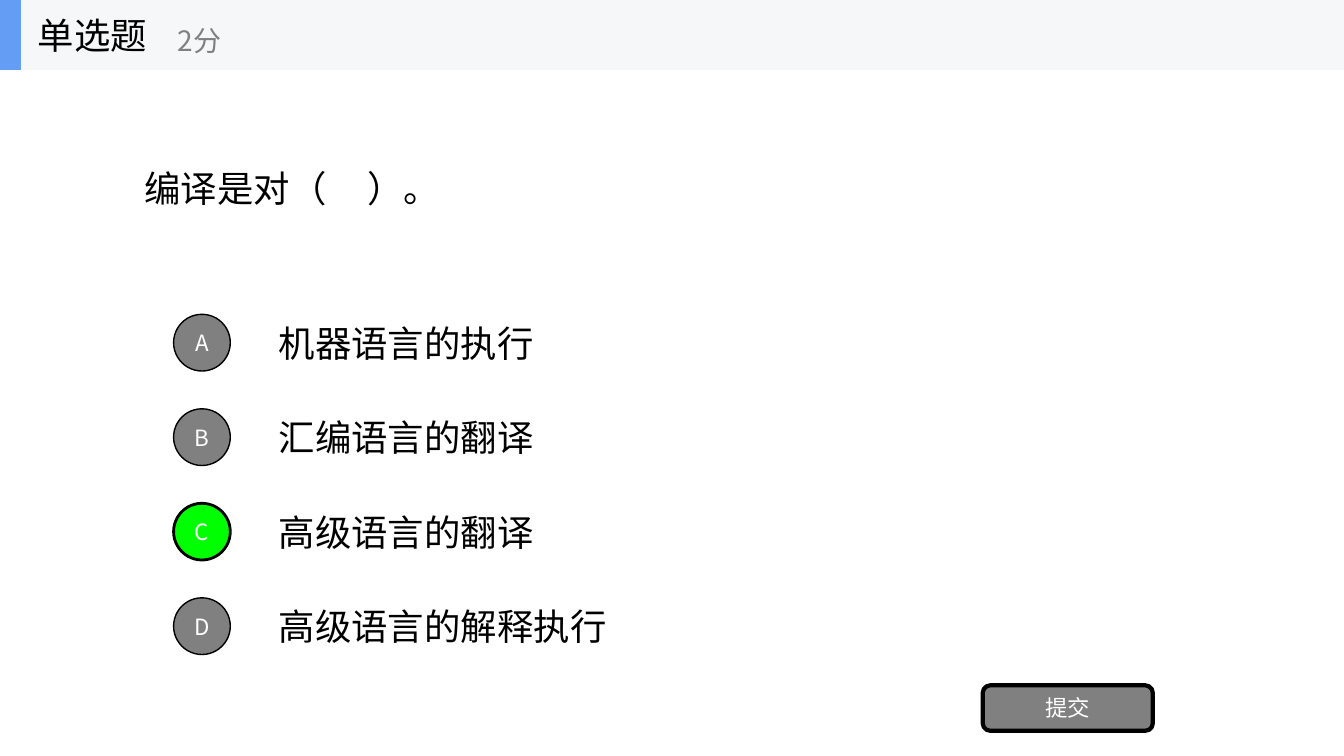
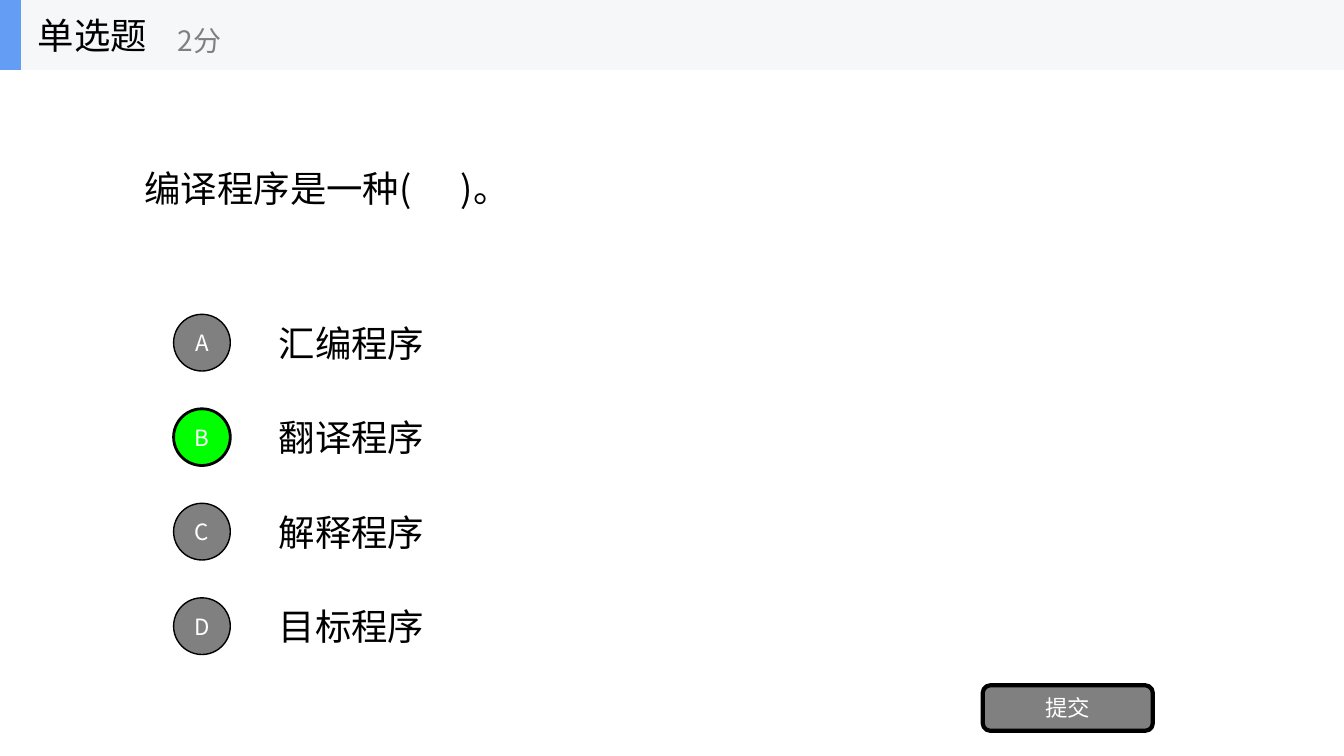
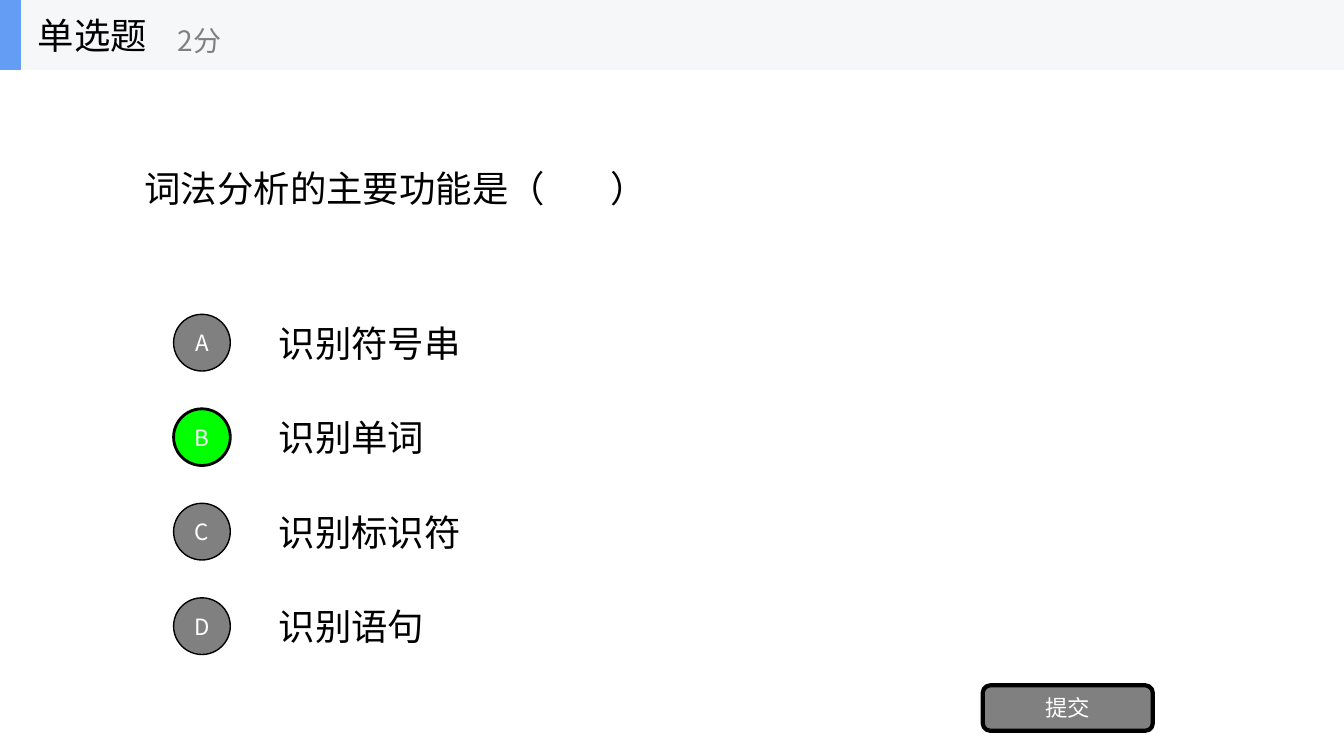
"""Builds three single-choice quiz slides."""
import lxml.etree
import pptx
import pptx.dml.color
import pptx.enum.shapes
import pptx.enum.text
import pptx.oxml.ns
import pptx.util

FONT = "Noto Sans CJK SC"
BLACK, GRAY, WHITE = "000000", "808080", "FFFFFF"
PALE, BLUE, GREEN = "F6F7F8", "639EF4", "00FF00"
KIND = pptx.enum.shapes.MSO_SHAPE
ALIGN = pptx.enum.text.PP_ALIGN
FRAME = {
    "vertical_anchor": pptx.enum.text.MSO_ANCHOR.MIDDLE,
    "auto_size": pptx.enum.text.MSO_AUTO_SIZE.NONE,
}
QUIZ = [
    ("编译是对（\t）。", 318, "C",
     ["机器语言的执行", "汇编语言的翻译", "高级语言的翻译", "高级语言的解释执行"]),
    ("编译程序是一种(\t)。", 452, "B",
     ["汇编程序", "翻译程序", "解释程序", "目标程序"]),
    ("词法分析的主要功能是（\t）", 666, "B",
     ["识别符号串", "识别单词", "识别标识符", "识别语句"]),
]


def px(size):
    return pptx.util.Emu(size * 6350)


def color(code):
    return pptx.dml.color.RGBColor.from_string(code)


def apply(target, values):
    for name, value in values.items():
        setattr(target, name, value)


class Deck:
    def __init__(self):
        self.show = pptx.Presentation()
        apply(self.show, {"slide_width": px(1920), "slide_height": px(1080)})

    def page(self):
        self.slide = self.show.slides.add_slide(self.show.slide_layouts[5])
        self.host = self.slide.shapes

    def letter(self, shape, text, size, ink, align=ALIGN.LEFT, wrap=True, stop=None):
        frame = shape.text_frame
        apply(frame, {**FRAME, "word_wrap": wrap})
        para = frame.paragraphs[0]
        para.alignment = align
        if stop:
            tag = pptx.oxml.ns.qn
            tabs = lxml.etree.SubElement(para._p.get_or_add_pPr(), tag("a:tabLst"))
            lxml.etree.SubElement(tabs, tag("a:tab"), pos=str(px(stop)), algn="l")
        run = para.add_run()
        run.text = text
        apply(run.font, {"size": pptx.util.Pt(size), "name": FONT, "bold": False})
        run.font.color.rgb = color(ink)
        east = pptx.oxml.ns.qn("a:ea")
        lxml.etree.SubElement(run._r.get_or_add_rPr(), east, typeface=FONT)

    def title(self, text, box, stop):
        shape = self.slide.shapes.title
        names = ("left", "top", "width", "height")
        apply(shape, dict(zip(names, map(px, box))))
        self.letter(shape, text, 26, BLACK, stop=stop)

    def label(self, text, box, size=26, ink=BLACK):
        self.letter(self.host.add_textbox(*map(px, box)), text, size, ink)

    def shape(self, kind, box, fill, line=0, text=""):
        shape = self.host.add_shape(kind, *map(px, box))
        shape.shadow.inherit = False
        shape.fill.solid()
        shape.fill.fore_color.rgb = color(fill)
        if line:
            shape.line.color.rgb = color(BLACK)
            shape.line.width = pptx.util.Pt(line)
        else:
            shape.line.fill.background()
        if text:
            self.letter(shape, text, 16, WHITE, ALIGN.CENTER, False)

    def header(self):
        self.host = self.slide.shapes.add_group_shape().shapes
        self.shape(KIND.RECTANGLE, (0, 0, 1920, 100), PALE)
        self.shape(KIND.RECTANGLE, (0, 0, 30, 100), BLUE)
        self.label("单选题", (40, 0, 300, 100))
        self.label("2分", (240, 18, 360, 80), 20, GRAY)
        self.host = self.slide.shapes

    def option(self, row, mark, text, right):
        top = 439 + 135 * row
        self.label(text, (384, top, 1344, 101))
        fill, line = (GREEN, 2) if right else (GRAY, 1)
        self.shape(KIND.OVAL, (248, top + 10, 81, 81), fill, line, mark)

    def button(self):
        box = (1404, 979, 243, 65)
        self.shape(KIND.ROUNDED_RECTANGLE, box, GRAY, 3, "提交")


def main():
    deck = Deck()
    for ask, stop, key, items in QUIZ:
        deck.page()
        deck.header()
        deck.title(ask, (192, 100, 1536, 337), stop)
        for row, (mark, text) in enumerate(zip("ABCD", items)):
            deck.option(row, mark, text, mark == key)
        deck.button()
    deck.show.save("out.pptx")


if __name__ == "__main__":
    main()
